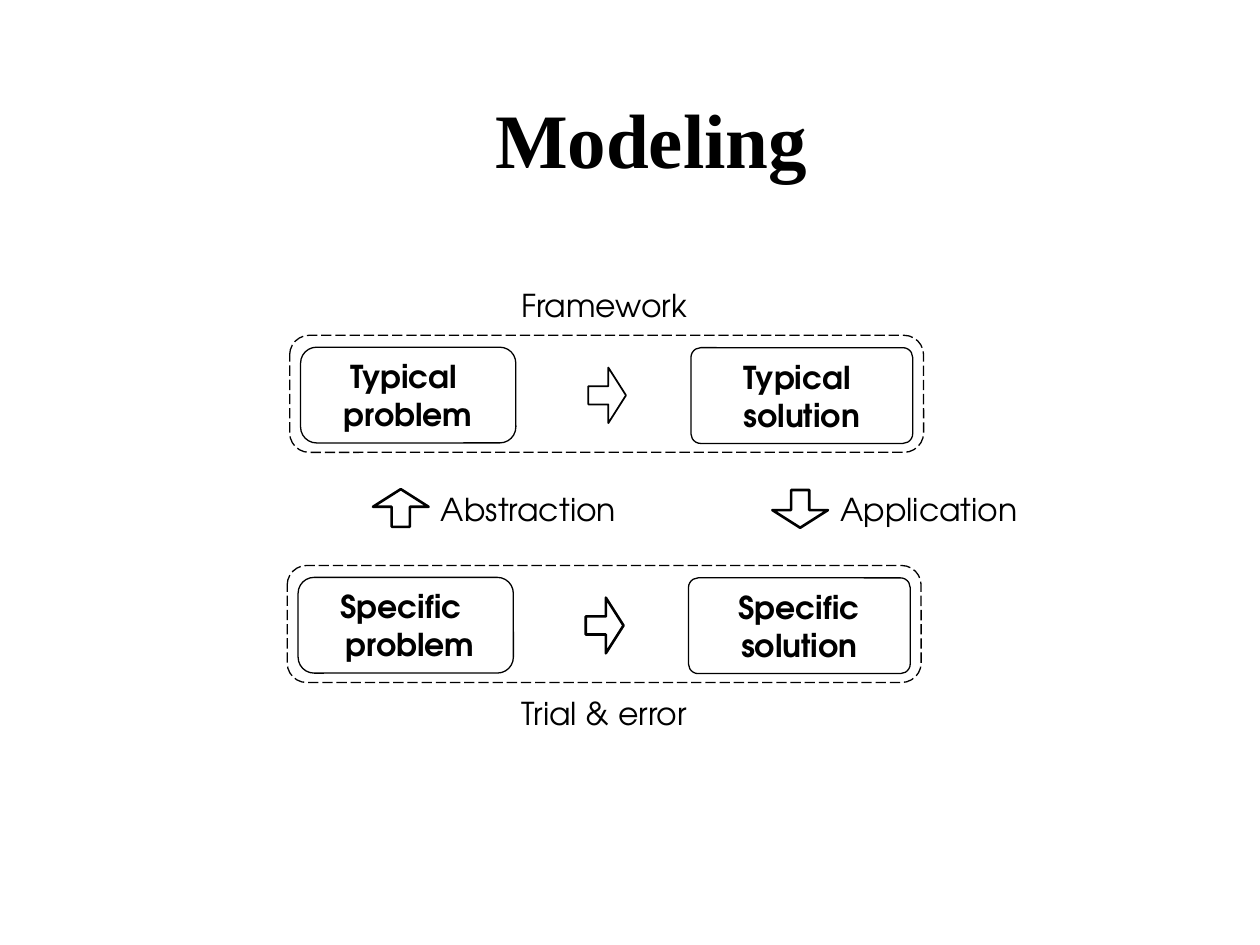
import dataclasses

import pptx
import pptx.dml.color
import pptx.enum.dml
import pptx.enum.shapes
import pptx.enum.text
import pptx.util

Cm = pptx.util.Cm
Pt = pptx.util.Pt
Shape = pptx.enum.shapes.MSO_SHAPE
Align = pptx.enum.text.PP_ALIGN
Anchor = pptx.enum.text.MSO_ANCHOR
AutoSize = pptx.enum.text.MSO_AUTO_SIZE


@dataclasses.dataclass(frozen=True)
class Theme:
    ink: pptx.dml.color.RGBColor = pptx.dml.color.RGBColor(0, 0, 0)
    title_font: str = "Times New Roman"
    body_font: str = "TeX Gyre Adventor"
    title_size: int = 44
    body_size: int = 18
    thin: float = 0.75
    thick: float = 1.5


class Diagram:
    """Draws the diagram's elements on one page; lengths are centimetres."""

    def __init__(self, page, theme):
        self.page = page
        self.theme = theme

    def outline(self, kind, left, top, width, height, adjustments, weight):
        shape = self.page.shapes.add_shape(
            kind, Cm(left), Cm(top), Cm(width), Cm(height))
        for index, value in enumerate(adjustments):
            shape.adjustments[index] = value
        shape.shadow.inherit = False
        shape.fill.background()
        shape.line.color.rgb = self.theme.ink
        shape.line.width = Pt(weight)
        return shape

    def add_lines(self, box, lines, align, font=None, size=None, bold=False):
        for index, line in enumerate(lines):
            frame = box.text_frame
            para = frame.add_paragraph() if index else frame.paragraphs[0]
            para.alignment = align
            span = para.add_run()
            span.text = line
            span.font.name = font or self.theme.body_font
            span.font.size = Pt(size or self.theme.body_size)
            span.font.bold = bold
            span.font.color.rgb = self.theme.ink

    def frame(self, left, top):
        shape = self.outline(Shape.ROUNDED_RECTANGLE, left, top, 12.78, 2.36,
                             [0.167], self.theme.thin)
        shape.line.dash_style = pptx.enum.dml.MSO_LINE.LONG_DASH

    def card(self, left, top, width, rounding, lines):
        box = self.outline(Shape.ROUNDED_RECTANGLE, left, top, width, 1.93,
                           [rounding], self.theme.thin)
        box.text_frame.word_wrap = False
        box.text_frame.vertical_anchor = Anchor.MIDDLE
        self.add_lines(box, lines, Align.CENTER, bold=True)

    def arrow(self, left, top, weight, rotation=0):
        shape = self.outline(Shape.RIGHT_ARROW, left, top, 0.76, 1.12,
                             [0.328, 0.468], weight)
        shape.rotation = rotation

    def label(self, left, top, width, text):
        box = self.page.shapes.add_textbox(
            Cm(left), Cm(top), Cm(width), Cm(1.02))
        box.text_frame.word_wrap = False
        box.text_frame.auto_size = AutoSize.SHAPE_TO_FIT_TEXT
        self.add_lines(box, [text], Align.LEFT)

    def title(self, text):
        box = self.page.shapes.add_textbox(
            Cm(1.7), Cm(1.19), Cm(22.86), Cm(3.18))
        box.text_frame.word_wrap = True
        box.text_frame.vertical_anchor = Anchor.MIDDLE
        self.add_lines(box, [text], Align.CENTER, self.theme.title_font,
                       self.theme.title_size, bold=True)

    def level(self, left, top, problem, solution, arrow_weight):
        """One dashed row: a problem leading to a solution."""
        self.frame(left, top)
        self.card(left + 0.22, top + 0.24, 4.34, 0.167, problem)
        self.arrow(left + 6.02, top + 0.65, arrow_weight)
        self.card(left + 8.09, top + 0.25, 4.47, 0.102, solution)

    def step(self, left, top, rotation, text):
        """A vertical arrow between the levels with its label."""
        self.arrow(left, top, self.theme.thick, rotation)
        self.label(left + 0.94, 9.75, 4.1, text)


def main():
    deck = pptx.Presentation()
    deck.slide_width, deck.slide_height = Cm(25.4), Cm(19.05)
    page = deck.slides.add_slide(deck.slide_layouts[6])
    theme = Theme()
    diagram = Diagram(page, theme)

    diagram.title("Modeling")
    diagram.label(10.26, 5.64, 3.94, "Framework")
    diagram.level(5.84, 6.76, ["Typical ", "problem"],
                  ["Typical ", "solution"], 1)
    diagram.step(7.7, 9.68, 270, "Abstraction")
    diagram.step(15.75, 9.7, 90, "Application")
    diagram.level(5.79, 11.4, ["Specific ", " problem"],
                  [" Specific ", "solution"], theme.thick)
    diagram.label(10.26, 13.87, 3.89, "Trial & error")

    deck.save("out.pptx")


if __name__ == "__main__":
    main()
